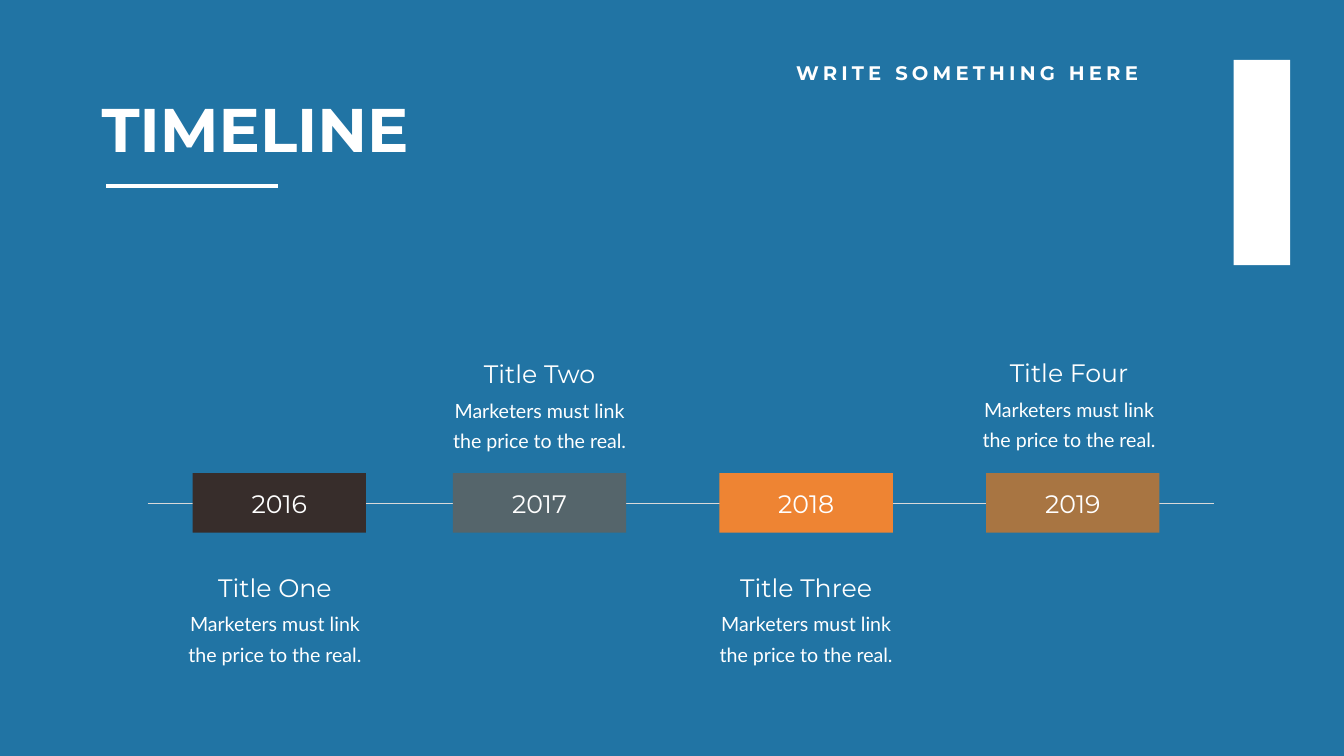
from lxml.etree import SubElement
from pptx import Presentation
from pptx.dml.color import RGBColor
from pptx.enum.shapes import MSO_CONNECTOR, MSO_SHAPE
from pptx.enum.text import MSO_ANCHOR, MSO_AUTO_SIZE, PP_ALIGN
from pptx.oxml.ns import qn
from pptx.util import Inches, Pt

WHITE = "FFFFFF"
AXIS_Y = 66.53
BLOCK_WIDTH, BLOCK_HEIGHT = 12.9, 7.87
BODY_WIDTH, BODY_HEIGHT, BODY_OFFSET = 14.22, 8.33, 4.4
HEADING_HEIGHT = 4.73
BODY = "Marketers must link the price to the real."

# Year, block colour, block centre, heading, heading width, text centre, text top
MILESTONES = [
    ("2016", "372D2B", 20.78, "Title One", 9.41, 20.46, 75.4),
    ("2017", "55656B", 40.14, "Title Two", 9.38, 40.15, 47.13),
    ("2018", "EE8433", 59.98, "Title Three", 10.84, 59.98, 75.4),
    ("2019", "A87542", 79.82, "Title Four", 9.83, 79.54, 47),
]


def colour(value):
    return RGBColor.from_string(value)


class TimelineSlide:
    """Places elements by percentages of the slide's width and height."""

    heading_font = "Montserrat"
    body_font = "Lato"

    def __init__(self, presentation, background):
        self.width = presentation.slide_width
        self.height = presentation.slide_height
        self.slide = presentation.slides.add_slide(presentation.slide_layouts[5])
        fill = self.slide.background.fill
        fill.solid()
        fill.fore_color.rgb = colour(background)

    def x(self, share):
        return round(self.width * share / 100)

    def y(self, share):
        return round(self.height * share / 100)

    def area(self, left, top, width, height):
        return self.x(left), self.y(top), self.x(width), self.y(height)

    def set_text(self, shape, text, size, font=heading_font, bold=False,
                 spacing=None, leading=None):
        shape.text_frame.text = text
        paragraph = shape.text_frame.paragraphs[0]
        paragraph.alignment = PP_ALIGN.CENTER
        if leading:
            paragraph.line_spacing = Pt(leading)
        run = paragraph.runs[0]
        run.font.name = font
        run.font.size = Pt(size)
        run.font.bold = bold
        run.font.color.rgb = colour(WHITE)
        if spacing:
            run._r.get_or_add_rPr().set("spc", str(spacing * 100))

    def title(self, text, area, size):
        shape = self.slide.shapes.title
        shape.left, shape.top, shape.width, shape.height = self.area(*area)
        shape.text_frame.vertical_anchor = MSO_ANCHOR.TOP
        shape.text_frame.auto_size = MSO_AUTO_SIZE.NONE
        self.set_text(shape, text, size, bold=True)

    def text(self, text, area, size, wrap=False, **style):
        shape = self.slide.shapes.add_textbox(*self.area(*area))
        shape.text_frame.word_wrap = wrap
        self.set_text(shape, text, size, **style)

    def block(self, area, fill, text=None, size=36):
        shape = self.slide.shapes.add_shape(MSO_SHAPE.RECTANGLE, *self.area(*area))
        shape.shadow.inherit = False
        shape.fill.solid()
        shape.fill.fore_color.rgb = colour(fill)
        shape.line.fill.background()
        if text:
            self.set_text(shape, text, size)

    def rule(self, start, end, top, line_colour, weight):
        line = self.slide.shapes.add_connector(
            MSO_CONNECTOR.STRAIGHT, self.x(start), self.y(top), self.x(end), self.y(top))
        line.line.color.rgb = colour(line_colour)
        line.line.width = Pt(weight)
        SubElement(line._element.spPr, qn("a:effectLst"))

    def milestone(self, year, fill, block_centre, heading, heading_width, centre, top):
        self.block((block_centre - BLOCK_WIDTH / 2, AXIS_Y - BLOCK_HEIGHT / 2,
                    BLOCK_WIDTH, BLOCK_HEIGHT), fill, year)
        self.text(heading, (centre - heading_width / 2, top,
                            heading_width, HEADING_HEIGHT), 36)
        self.text(BODY, (centre - BODY_WIDTH / 2, top + BODY_OFFSET,
                         BODY_WIDTH, BODY_HEIGHT), 28,
                  wrap=True, font=self.body_font, leading=43)


def main():
    presentation = Presentation()
    presentation.slide_width = Inches(26.66)
    presentation.slide_height = Inches(15)
    page = TimelineSlide(presentation, "2174A4")

    # Header
    page.title("TIMELINE", (6, 11.67, 25.96, 10.53), 88)
    page.rule(7.91, 20.71, 24.6, WHITE, 6)
    page.text("WRITE SOMETHING HERE", (58.55, 7.73, 26.82, 3.8), 28,
              bold=True, spacing=6)
    page.block((91.79, 7.93, 4.2, 27.13), WHITE)

    # Timeline axis and milestones
    page.rule(10.99, 90.36, AXIS_Y, "D9D9D9", 0.5)
    for milestone in MILESTONES:
        page.milestone(*milestone)

    presentation.save("out.pptx")


if __name__ == "__main__":
    main()
